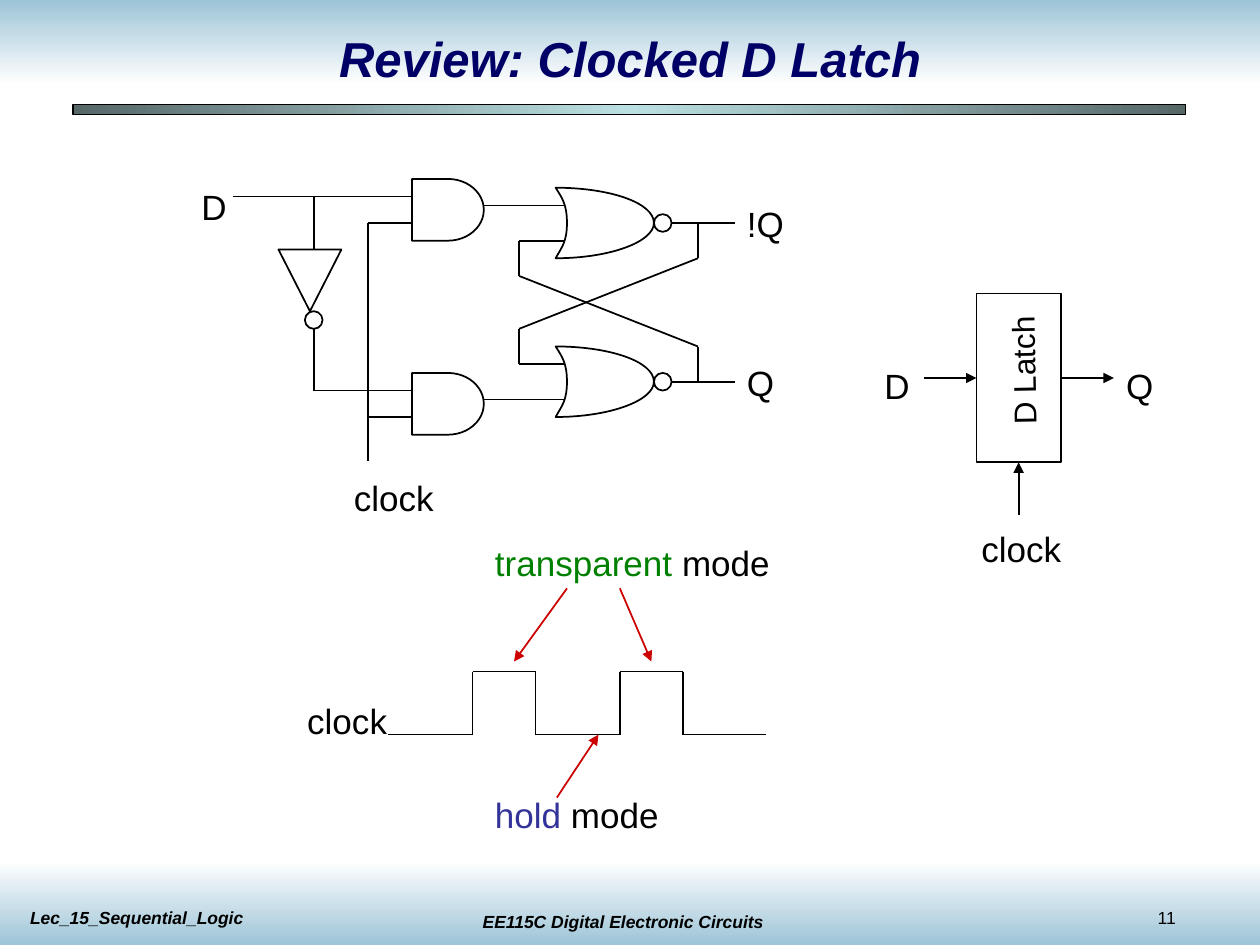
import copy
import pptx
import pptx.util
import pptx.dml.color
import pptx.enum.shapes
import pptx.enum.text
import pptx.oxml.ns
from lxml import etree

Inches, Pt = pptx.util.Inches, pptx.util.Pt
Kind = pptx.enum.shapes.MSO_SHAPE
Align = pptx.enum.text.PP_ALIGN
Fit = pptx.enum.text.MSO_AUTO_SIZE
qn = pptx.oxml.ns.qn

THEME = {
    "font": "Arial", "ink": "000000", "title": "000066", "red": "CC0000",
    "green": "008000", "blue": "333399", "sky": "9DC4D7", "white": "FFFFFF",
    "dark": "566768", "pale": "BBE0E3",
    "head": 28, "label": 20, "block": 18, "foot": 10, "wire": 1, "edge": 0.75,
}

# Content: labels as (left, top, width, runs)
TITLE = "Review: Clocked D Latch"
LABELS = [
    (1.5, 1.42, 0.42, [("D", "ink")]),
    (5.83, 1.56, 0.53, [("!Q", "ink")]),
    (5.83, 2.82, 0.43, [("Q", "ink")]),
    (2.71, 3.73, 0.87, [("clock", "ink")]),
    (6.92, 2.84, 0.42, [("D", "ink")]),
    (8.84, 2.84, 0.43, [("Q", "ink")]),
    (7.69, 4.14, 0.87, [("clock", "ink")]),
    (2.34, 5.5, 0.87, [("clock", "ink")]),
    (3.83, 4.25, 2.4, [("transparent", "green"), (" mode", "ink")]),
    (3.83, 6.25, 1.52, [("hold", "blue"), (" mode", "ink")]),
]
FOOTERS = [  # left, top, width, text, slanted bold, alignment
    (3.53, 7.18, 2.83, "EE115C Digital Electronic Circuits", True, Align.CENTER),
    (9.09, 7.15, 0.83, "11", False, Align.LEFT),
    (0.14, 7.15, 2.83, "Lec_15_Sequential_Logic", True, Align.LEFT),
]

# Circuit: each wire is a chain of corner points
WIRES = [
    [(1.85, 1.56), (3.27, 1.56)],
    [(2.49, 1.56), (2.49, 1.98)],
    [(2.49, 2.61), (2.49, 3.1), (3.27, 3.1)],
    [(3.27, 1.77), (2.92, 1.77), (2.92, 3.66)],
    [(2.92, 3.31), (3.27, 3.31)],
    [(3.84, 1.63), (4.48, 1.63)],
    [(3.84, 3.17), (4.48, 3.17)],
    [(5.33, 1.77), (5.83, 1.77)],
    [(5.33, 3.03), (5.83, 3.03)],
    [(4.48, 1.91), (4.12, 1.91), (4.12, 2.19), (5.54, 2.75), (5.54, 3.03)],
    [(4.48, 2.89), (4.12, 2.89), (4.12, 2.61), (5.54, 2.05), (5.54, 1.77)],
]
AND_TOPS = [1.42, 2.96]
NOR_TOPS = [1.49, 2.75]
NOR_LEFT = 4.41
NOR_CURVES = [  # two control points and an end point, from the top left
    [(0.05, 0.08), (0.09, 0.13), (0.09, 0.28)],
    [(0.09, 0.43), (0.05, 0.47), (0, 0.56)],
    [(0.43, 0.56), (0.78, 0.43), (0.78, 0.28)],
    [(0.78, 0.12), (0.43, 0), (0, 0)],
]
BUBBLE = 0.14

# Clock waveform and its pointers
LOW, HIGH = 5.83, 5.33
PULSES = [(3.75, 4.25), (4.92, 5.42)]
START, STOP = 3.08, 6.08
POINTERS = [
    ((4.5, 4.67), (4.08, 5.25)),
    ((4.92, 4.67), (5.17, 5.25)),
    ((4.42, 6.33), (4.75, 5.83)),
]

# Latch block: left, top, width, height, and its arrows' length
BLOCK = (7.75, 2.33, 0.67, 1.34)
REACH = 0.42

deck = pptx.Presentation()
deck.slide_width, deck.slide_height = Inches(10), Inches(7.5)
slide = deck.slides.add_slide(deck.slide_layouts[5])
shapes = slide.shapes


def color(name):
    return pptx.dml.color.RGBColor.from_string(THEME[name])


def write(para, text, size, tone="ink", strong=False):
    run = para.add_run()
    run.text = text
    font = run.font
    font.name, font.size = THEME["font"], Pt(THEME[size])
    font.bold = font.italic = strong
    font.color.rgb = color(tone)


def label(left, top, width, height, runs, size="label", align=Align.LEFT,
          strong=False, wrap=False):
    box = shapes.add_textbox(*map(Inches, (left, top, width, height)))
    frame = box.text_frame
    frame.word_wrap, frame.auto_size = wrap, Fit.SHAPE_TO_FIT_TEXT
    para = frame.paragraphs[0]
    para.alignment = align
    for text, tone in runs:
        write(para, text, size, tone, strong)
    return box


def trim(shape, width="wire"):
    shape.shadow.inherit = False
    shape.fill.background()
    shape.line.color.rgb = color("ink")
    shape.line.width = Pt(THEME[width])
    return shape


def outline(kind, *area):
    return trim(shapes.add_shape(kind, *map(Inches, area)))


def wire(start, end, tone="ink", arrow=False):
    line = shapes.add_connector(pptx.enum.shapes.MSO_CONNECTOR.STRAIGHT,
                                *map(Inches, (*start, *end)))
    line.line.color.rgb, line.line.width = color(tone), Pt(THEME["wire"])
    if arrow:
        edge = line.line._get_or_add_ln()
        etree.SubElement(edge, qn("a:tailEnd"), type="triangle")
    etree.SubElement(line._element.spPr, qn("a:effectLst"))
    return line


def chain(points):
    for start, end in zip(points, points[1:]):
        wire(start, end)


def shade(shape, tones, angle):
    fill = shape.fill
    fill.gradient()
    fill.gradient_angle = angle
    stops = shape._element.spPr.find(".//" + qn("a:gsLst"))
    for _ in tones[2:]:
        stops.append(copy.deepcopy(stops[0]))
    for i, (stop, tone) in enumerate(zip(fill.gradient_stops, tones)):
        stop.color.rgb = color(tone)
        stop.position = i / (len(tones) - 1)


def nor(top):
    pen = shapes.build_freeform(Inches(NOR_LEFT), Inches(top))
    ends = [part[-1] for part in NOR_CURVES]
    pen.add_line_segments([(Inches(NOR_LEFT + x), Inches(top + y)) for x, y in ends])
    gate = trim(pen.convert_to_shape())
    # Bend each straight side into its curve
    sides = list(gate._element.spPr.iter(qn("a:lnTo")))
    for side, part in zip(sides, NOR_CURVES):
        bend = etree.Element(qn("a:cubicBezTo"))
        for x, y in part:
            etree.SubElement(bend, qn("a:pt"), x=str(Inches(x)), y=str(Inches(y)))
        side.getparent().replace(side, bend)
    outline(Kind.OVAL, 5.19, top + 0.21, BUBBLE, BUBBLE)


# Background bands, rule and footers
for top, tones in [(0, ("sky", "white")), (6.83, ("white", "sky"))]:
    band = outline(Kind.RECTANGLE, 0, top, 10, 0.67)
    band.line.fill.background()
    shade(band, tones, 270)
rule = trim(shapes.add_shape(Kind.RECTANGLE, *map(Inches, (0.58, 0.83, 8.83, 0.08))), "edge")
shade(rule, ("dark", "pale", "dark"), 0)
for left, top, width, text, strong, align in FOOTERS:
    label(left, top, width, 0.27, [(text, "ink")], "foot", align, strong, strong)

# Title, raised above the bands
title = shapes.title
title.left, title.top, title.width, title.height = map(Inches, (0.75, 0.17, 8.5, 0.58))
frame = title.text_frame
frame.auto_size = Fit.NONE
frame.vertical_anchor = pptx.enum.text.MSO_ANCHOR.MIDDLE
frame.paragraphs[0].alignment = Align.CENTER
write(frame.paragraphs[0], TITLE, "head", "title", True)
shapes._spTree.append(title._element)

# Gate circuit
for points in WIRES:
    chain(points)
for top in AND_TOPS:
    outline(Kind.FLOWCHART_DELAY, 3.27, top, 0.57, 0.49)
for top in NOR_TOPS:
    nor(top)
outline(Kind.ISOSCELES_TRIANGLE, 2.21, 1.98, 0.5, 0.49).rotation = 180
outline(Kind.OVAL, 2.42, 2.47, BUBBLE, BUBBLE)

# Latch block with its ports
block = outline(Kind.RECTANGLE, *BLOCK)
name = label(7.59, 2.74, 1.06, 0.4, [("D Latch", "ink")], "block", Align.CENTER)
name.rotation = 268.9
left, top, width, height = BLOCK
right, base = left + width, top + height
mid, level = left + width / 2, top + height / 2
wire((left - REACH, level), (left, level), arrow=True).end_connect(block, 1)
wire((right, level), (right + REACH, level), arrow=True).begin_connect(block, 3)
wire((mid, base + REACH), (mid, base), arrow=True).end_connect(block, 2)

# Clock waveform
wave = [(START, LOW)]
for rise, fall in PULSES:
    wave += [(rise, LOW), (rise, HIGH), (fall, HIGH), (fall, LOW)]
chain(wave + [(STOP, LOW)])
for start, end in POINTERS:
    wire(start, end, "red", True)

# Labels
for left, top, width, runs in LABELS:
    label(left, top, width, 0.44, runs)

deck.save("out.pptx")
